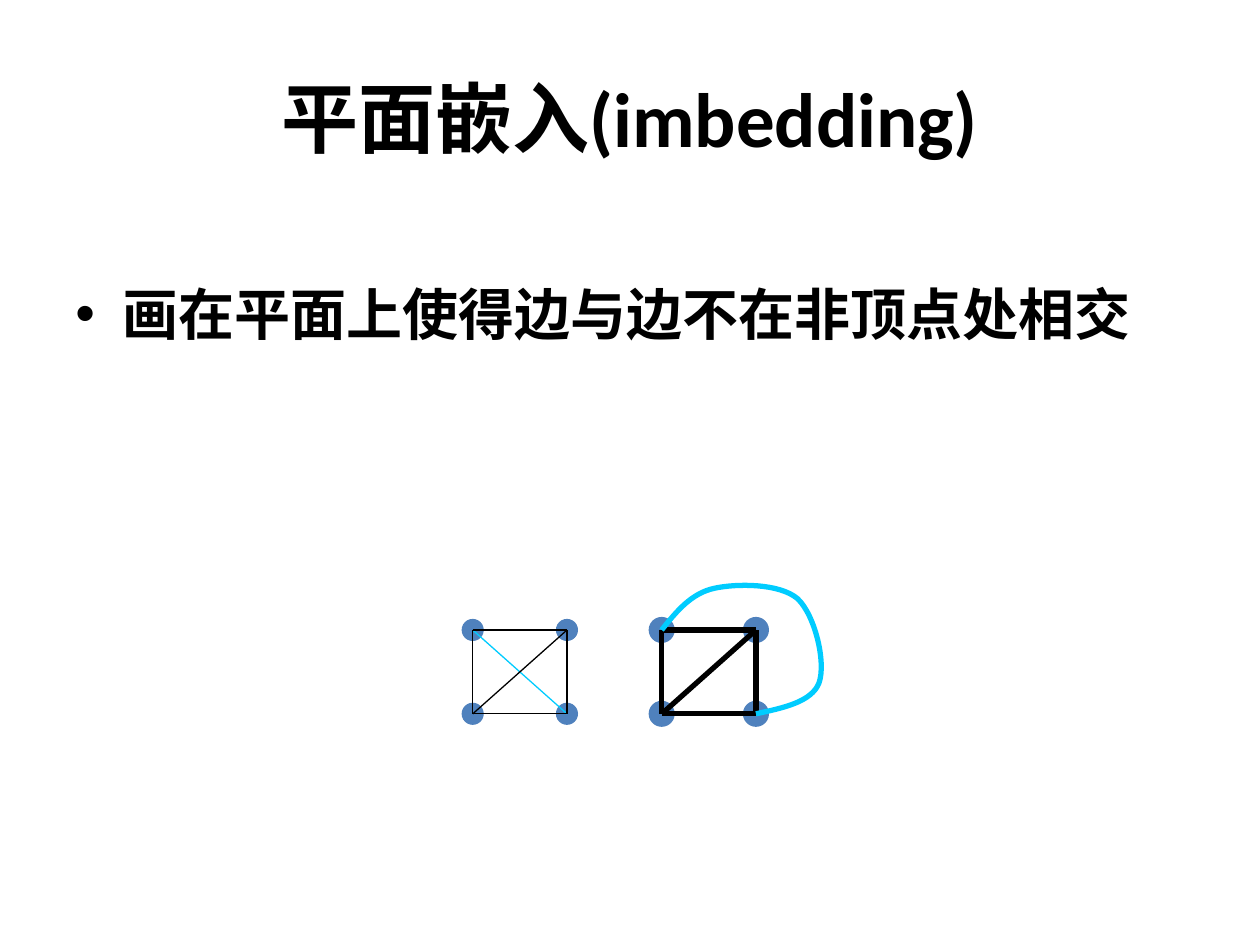
from itertools import product

from lxml import etree
from pptx import Presentation
from pptx.dml.color import RGBColor
from pptx.enum.shapes import MSO_CONNECTOR, MSO_SHAPE
from pptx.enum.text import MSO_ANCHOR, PP_ALIGN
from pptx.oxml.ns import qn
from pptx.util import Cm, Pt

STRAIGHT = MSO_CONNECTOR.STRAIGHT
OVAL = MSO_SHAPE.OVAL
TOP, MIDDLE = MSO_ANCHOR.TOP, MSO_ANCHOR.MIDDLE
LEFT, CENTER = PP_ALIGN.LEFT, PP_ALIGN.CENTER

COLORS = {"text": "000000", "vertex": "4F81BD", "edge": "000000", "moved_edge": "00CCFF"}
COLORS = {name: RGBColor.from_string(value) for name, value in COLORS.items()}

presentation = Presentation()
presentation.slide_width, presentation.slide_height = Cm(25.4), Cm(19.05)
slide = presentation.slides.add_slide(presentation.slide_layouts[6])


def add_text(text, top, height, size, align=LEFT, anchor=TOP, bullet=None, space_before=0):
    shape = slide.shapes.add_textbox(Cm(1.27), Cm(top), Cm(22.86), Cm(height))
    frame = shape.text_frame
    frame.word_wrap = True
    frame.vertical_anchor = anchor
    paragraph = frame.paragraphs[0]
    paragraph.alignment = align
    paragraph.space_before = Pt(space_before)
    run = paragraph.add_run()
    run.text = text
    run.font.name = "Calibri"
    run.font.size = Pt(size)
    run.font.bold = True
    run.font.color.rgb = COLORS["text"]
    if bullet:
        properties = paragraph._p.get_or_add_pPr()
        properties.set("marL", str(Cm(0.95)))
        properties.set("indent", str(-Cm(0.95)))
        etree.SubElement(properties, qn("a:buFont")).set("typeface", "Arial")
        etree.SubElement(properties, qn("a:buChar")).set("char", bullet)


def set_line(shape, color, width):
    shape.line.color.rgb = COLORS[color]
    shape.line.width = Pt(width)
    if not shape._element.spPr.findall(qn("a:effectLst")):
        etree.SubElement(shape._element.spPr, qn("a:effectLst"))


add_text("平面嵌入(imbedding)", 0.76, 3.18, 44, align=CENTER, anchor=MIDDLE)
add_text("画在平面上使得边与边不在非顶点处相交", 5.51, 8.59, 32, bullet="•", space_before=8)

# Two drawings of K4: corners are (column, row), and only the first has both diagonals straight
SIDE_X, SIDE_Y, DIAMETER = 1.9, 1.69, 0.42
GRAPH_TOP = 12.7
FALLING_DIAGONAL = ((0, 0), (1, 1))
PLANAR_EDGES = [
    ((0, 1), (0, 0)),
    ((1, 1), (1, 0)),
    ((0, 1), (1, 0)),
    ((0, 1), (1, 1)),
    ((0, 0), (1, 0)),
]
GRAPHS = [
    (9.53, 0.75, [FALLING_DIAGONAL] + PLANAR_EDGES),
    (13.34, 3, PLANAR_EDGES),
]

for graph_left, line_width, edges in GRAPHS:
    corners = {
        (column, row): (graph_left + column * SIDE_X, GRAPH_TOP + row * SIDE_Y)
        for column, row in product(range(2), repeat=2)
    }
    for x, y in corners.values():
        vertex = slide.shapes.add_shape(
            OVAL, Cm(x - DIAMETER / 2), Cm(y - DIAMETER / 2), Cm(DIAMETER), Cm(DIAMETER))
        vertex.shadow.inherit = False
        vertex.fill.solid()
        vertex.fill.fore_color.rgb = COLORS["vertex"]
        set_line(vertex, "vertex", line_width)
    for edge in edges:
        (start_x, start_y), (end_x, end_y) = (corners[corner] for corner in edge)
        connector = slide.shapes.add_connector(
            STRAIGHT, Cm(start_x), Cm(start_y), Cm(end_x), Cm(end_y))
        set_line(connector, "moved_edge" if edge == FALLING_DIAGONAL else "edge", line_width)

# The diagonal led around the outside: three Bezier segments of three points each
CURVE_START = (13.34, 12.7)
CURVE_POINTS = [
    (13.64, 12.32), (13.94, 11.96), (14.4, 11.86),
    (14.86, 11.76), (15.72, 11.76), (16.08, 12.07),
    (16.43, 12.4), (16.66, 13.36), (16.51, 13.77),
    (16.36, 14.15), (15.8, 14.27), (15.24, 14.39),
]
builder = slide.shapes.build_freeform(Cm(CURVE_START[0]), Cm(CURVE_START[1]))
builder.add_line_segments([(Cm(x), Cm(y)) for x, y in CURVE_POINTS], close=False)
curve = builder.convert_to_shape()
curve.shadow.inherit = False
curve.fill.background()
set_line(curve, "moved_edge", 3)

# Turn every three straight segments into one cubic Bezier segment
segments = list(curve._element.iter(qn("a:lnTo")))
outline = segments[0].getparent()
for first in range(0, len(segments), 3):
    bezier = etree.SubElement(outline, qn("a:cubicBezTo"))
    for segment in segments[first:first + 3]:
        bezier.append(segment[0])
        outline.remove(segment)

presentation.save("out.pptx")
